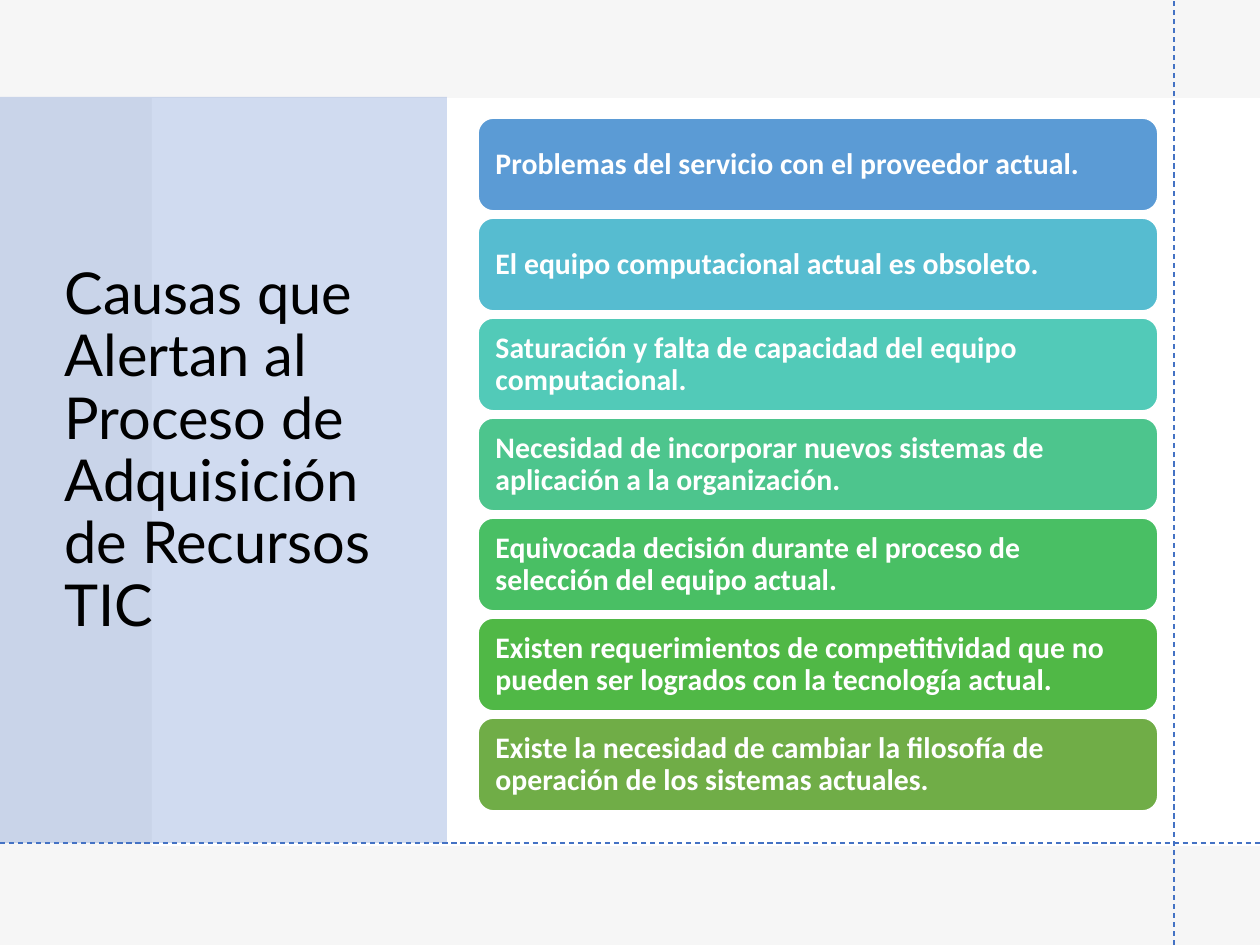
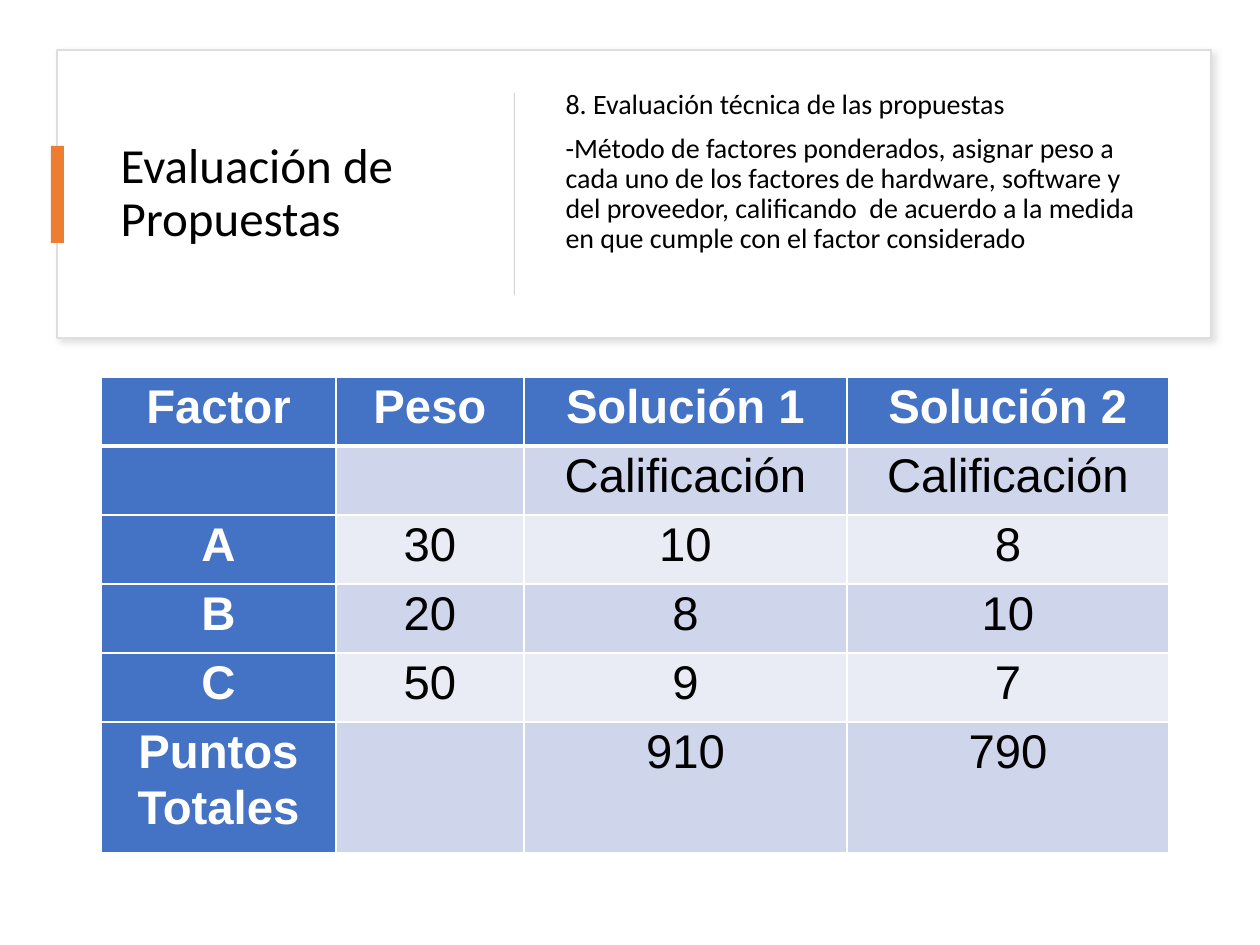
from dataclasses import dataclass

from lxml.etree import SubElement as Sub
from pptx import Presentation
from pptx.dml.color import RGBColor as Rgb
from pptx.enum.dml import MSO_LINE_DASH_STYLE as Dash
from pptx.enum.shapes import MSO_CONNECTOR as Wire, MSO_SHAPE as Form
from pptx.enum.text import MSO_ANCHOR as Anchor, MSO_AUTO_SIZE as Fit, PP_ALIGN as Align
from pptx.oxml.ns import qn
from pptx.util import Emu, Pt


@dataclass(frozen=True)
class Theme:
    """Hold the colours, fonts and type sizes of the deck."""
    white: str = "FFFFFF"
    black: str = "000000"
    blue: str = "4472C4"
    grey: str = "E7E6E6"
    page: str = "F2F2F2"
    edge: str = "DEDEDE"
    rule: str = "D5D5D5"
    shade: str = "C5C3C3"
    mark: str = "ED7D31"
    bands: tuple = ("CFD5EA", "E9EBF5")
    steps: tuple = ("5B9BD5", "56BCD0", "52CAB8", "4DC58D", "49BF64", "50B846", "70AD47")
    lead: str = "Lato"
    main: str = "Calibri"
    grid: str = "Arial"
    big: float = 33
    head: float = 28
    cell: float = 27
    card: float = 17
    body: float = 16


T = Theme()
WIDE, HIGH = 1260, 945
CAUSES = (
    "Problemas del servicio con el proveedor actual.",
    "El equipo computacional actual es obsoleto.",
    "Saturación y falta de capacidad del equipo computacional.",
    "Necesidad de incorporar nuevos sistemas de aplicación a la organización.",
    "Equivocada decisión durante el proceso de selección del equipo actual.",
    "Existen requerimientos de competitividad que no pueden ser logrados con la tecnología actual.",
    "Existe la necesidad de cambiar la filosofía de operación de los sistemas actuales.",
)
NOTES = (
    "8. Evaluación técnica de las propuestas",
    "-Método de factores ponderados, asignar peso a cada uno de los factores de hardware, "
    "software y del proveedor, calificando  de acuerdo a la medida en que cumple con el "
    "factor considerado",
)
SCORES = (
    ("Factor", "Peso", "Solución 1", "Solución 2"),
    ("", "", "Calificación", "Calificación"),
    ("A", "30", "10", "8"),
    ("B", "20", "8", "10"),
    ("C", "50", "9", "7"),
    ("Puntos Totales", "", "910", "790"),
)


def px(num):
    """Turn picture pixels into EMU."""
    return Emu(round(num * 914400 / 126))


def put(item, **vals):
    """Set each given format value on an item."""
    for name, val in vals.items():
        setattr(item, name, val)


def paint(fill, tone):
    """Make a fill solid in one colour."""
    fill.solid()
    fill.fore_color.rgb = Rgb.from_string(tone)


def write(frame, lines, font, size, tone, bold=False, para=None, **vals):
    """Fill a text frame with paragraphs in one style."""
    put(frame, word_wrap=True, **vals)
    frame.text = "\n".join(lines)
    for par in frame.paragraphs:
        put(par, **{"line_spacing": 0.9, "alignment": Align.LEFT, **(para or {})})
        for run in par.runs:
            put(run.font, name=font, size=Pt(size), bold=bold)
            run.font.color.rgb = Rgb.from_string(tone)


def block(slide, box, tone, alpha=None, edge=None, form=Form.RECTANGLE):
    """Add a filled shape with an optional tint and outline."""
    shape = slide.shapes.add_shape(form, *map(px, box))
    shape.shadow.inherit = False
    paint(shape.fill, tone)
    if alpha:
        clr = shape.element.spPr.find(qn("a:solidFill"))[0]
        Sub(clr, qn("a:alpha"), val=str(alpha * 1000))
    if edge:
        paint(shape.line.fill, edge)
        shape.line.width = Pt(1)
    else:
        shape.line.fill.background()
    return shape


def shade(shape):
    """Cast a soft shadow to the lower right."""
    list_ = shape.element.spPr.find(qn("a:effectLst"))
    cast = Sub(list_, qn("a:outerShdw"), blurRad=str(Pt(4)), dist=str(Pt(3)),
               dir="2700000", algn="tl", rotWithShape="0")
    clr = Sub(cast, qn("a:srgbClr"), val=T.shade)
    Sub(clr, qn("a:alpha"), val="50000")


def guide(slide, *ends):
    """Draw a dashed guide line."""
    line = slide.shapes.add_connector(Wire.STRAIGHT, *map(px, ends))
    paint(line.line.fill, T.blue)
    put(line.line, width=Pt(0.75), dash_style=Dash.DASH)
    Sub(line.element.spPr, qn("a:effectLst"))


def place(holder, box, lines, font, size, **vals):
    """Move a placeholder to the front and fill it."""
    put(holder, **dict(zip(("left", "top", "width", "height"), map(px, box))))
    holder.element.getparent().append(holder.element)
    write(holder.text_frame, lines, font, size, T.black,
          vertical_anchor=Anchor.MIDDLE, auto_size=Fit.NONE, **vals)


def card(slide, top, text, tone):
    """Add one rounded card with its text."""
    shape = block(slide, (478, top, 680, 93), tone, edge=T.white, form=Form.ROUNDED_RECTANGLE)
    write(shape.text_frame, [text], T.main, T.card, T.white, bold=True,
          vertical_anchor=Anchor.MIDDLE, margin_left=px(13), margin_right=px(13))


def border(cell, low):
    """Give a cell white edges, with its own lower width."""
    props = cell._tc.get_or_add_tcPr()
    for spot, (side, wide) in enumerate((("L", 1), ("R", 1), ("T", 1), ("B", low))):
        edge = Sub(props, qn("a:ln" + side), w=str(Pt(wide)))
        Sub(Sub(edge, qn("a:solidFill")), qn("a:srgbClr"), val=T.white)
        props.insert(spot, edge)


def chart(slide, left, top, cols, rows):
    """Add the table of weighted scores."""
    box = map(px, (left, top, sum(cols), sum(rows)))
    table = slide.shapes.add_table(len(rows), len(cols), *box).table
    for col, wide in zip(table.columns, cols):
        col.width = px(wide)
    for row, tall in zip(table.rows, rows):
        row.height = px(tall)
    for i, line in enumerate(SCORES):
        for j, text in enumerate(line):
            cell = table.cell(i, j)
            key = i == 0 or j == 0
            put(cell, margin_left=px(23), margin_right=px(23), margin_top=0, margin_bottom=0)
            paint(cell.fill, T.blue if key else T.bands[(i + 1) % 2])
            border(cell, 1 if i else 3)
            write(cell.text_frame, [text], T.grid, T.cell, T.white if key else T.black,
                  bold=key, para={"alignment": Align.CENTER, "line_spacing": 1.07})


def alerts(deck):
    """Build the slide of causes."""
    slide = deck.slides.add_slide(deck.slide_layouts[5])
    paint(slide.background.fill, T.page)
    page = (0, 0, WIDE, HIGH)
    block(slide, page, T.white)
    block(slide, page, T.grey, alpha=35)
    block(slide, (152, 98, WIDE - 152, 748), T.white)
    block(slide, (0, 97, 447, 746), T.blue, alpha=25)
    place(slide.shapes.title, (52, 93, 373, 717),
          ["Causas que Alertan al Proceso de Adquisición de Recursos TIC"], T.lead, T.big)
    guide(slide, 1174, HIGH, 1174, 0)
    guide(slide, 0, 843, WIDE, 843)
    for i, (text, tone) in enumerate(zip(CAUSES, T.steps)):
        card(slide, 118 + 100 * i, text, tone)


def review(deck):
    """Build the slide of weighted scores."""
    slide = deck.slides.add_slide(deck.slide_layouts[1])
    paint(slide.background.fill, T.white)
    shade(block(slide, (57, 50, 1154, 288), T.white, edge=T.edge))
    place(slide.shapes.title, (108, 81, 368, 227), ["Evaluación de\vPropuestas"], T.main, T.head)
    block(slide, (51, 146, 13, 97), T.mark)
    block(slide, (514, 93, 1, 202), T.rule)
    body = slide.placeholders[1]
    place(body, (553, 81, 620, 227), NOTES, T.main, T.body,
          para={"space_before": Pt(7.5)}, margin_bottom=px(50))
    for par in body.text_frame.paragraphs:
        props = par._p.get_or_add_pPr()
        put(props, marL=0, indent=0) if hasattr(props, "marL") else None
        props.set("marL", "0")
        props.set("indent", "0")
        Sub(props, qn("a:buNone"))
    chart(slide, 101, 377, (235, 188, 323, 322), (69,) * 5 + (131,))


def main():
    """Build and save the deck."""
    deck = Presentation()
    put(deck, slide_width=px(WIDE), slide_height=px(HIGH))
    alerts(deck)
    review(deck)
    deck.save("out.pptx")


if __name__ == "__main__":
    main()
